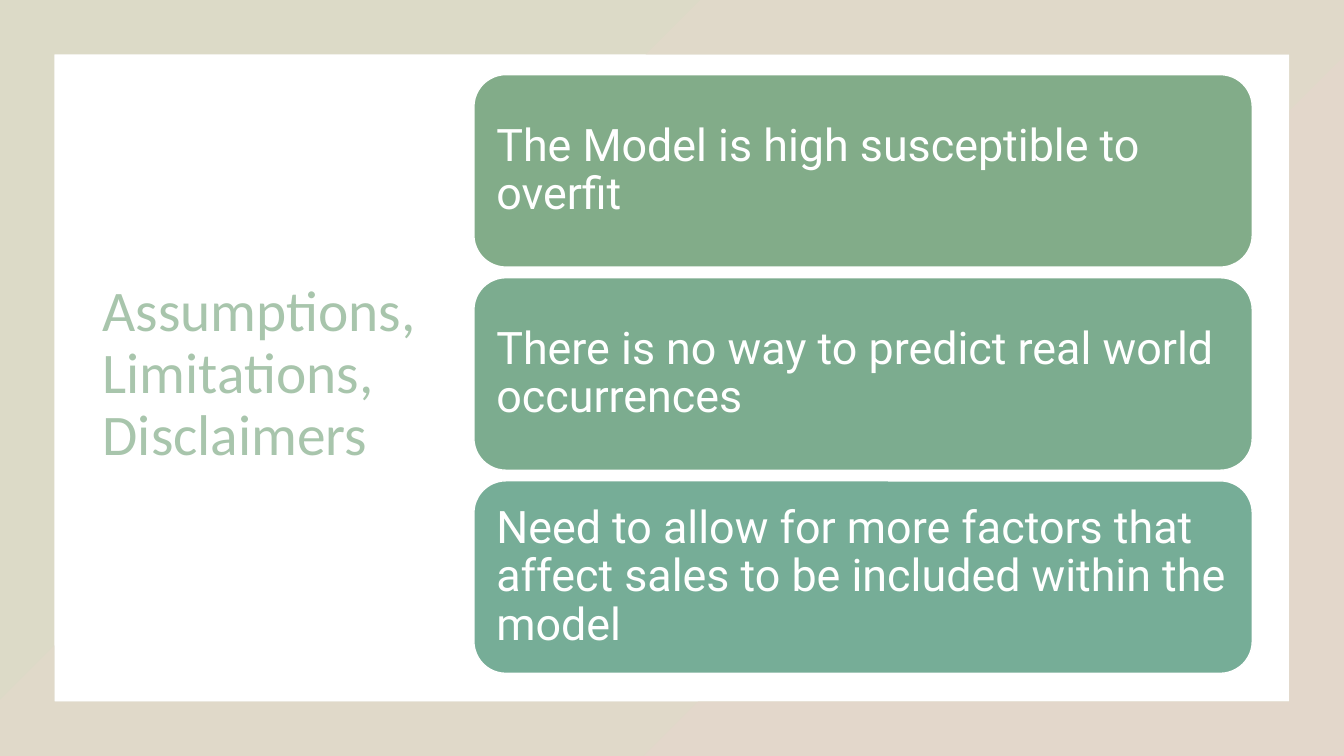
from pptx import Presentation
from pptx.dml.color import RGBColor
from pptx.enum.shapes import MSO_SHAPE
from pptx.enum.text import MSO_ANCHOR, PP_ALIGN
from pptx.util import Inches, Pt

WHITE = RGBColor(0xFF, 0xFF, 0xFF)
SAGE = RGBColor(0xA8, 0xC5, 0xAC)
OLIVE = RGBColor(0xDC, 0xDA, 0xC7)
SAND = RGBColor(0xE3, 0xD7, 0xCB)
CARDS = [
    ("The Model is high susceptible to overfit", RGBColor(0x82, 0xAC, 0x89)),
    ("There is no way to predict real world occurrences", RGBColor(0x7C, 0xAC, 0x8F)),
    ("Need to allow for more factors that affect sales to be included within the model",
     RGBColor(0x76, 0xAD, 0x97)),
]


def write(shape, text, font, size, color):
    frame = shape.text_frame
    frame.word_wrap = True
    frame.vertical_anchor = MSO_ANCHOR.MIDDLE
    para = frame.paragraphs[0]
    para.text = text
    para.alignment = PP_ALIGN.LEFT
    para.line_spacing = 0.9
    para.font.name = font
    para.font.size = Pt(size)
    para.font.color.rgb = color
    return frame


deck = Presentation()
deck.slide_width = Inches(13.33)
deck.slide_height = Inches(7.5)
slide = deck.slides.add_slide(deck.slide_layouts[6])
shapes = slide.shapes

border = shapes.add_shape(MSO_SHAPE.FRAME, 0, 0, deck.slide_width, deck.slide_height)
border.adjustments[0] = 0.072
border.shadow.inherit = False
border.line.fill.background()
border.fill.gradient()
border.fill.gradient_angle = 315
for stop, color in zip(border.fill.gradient_stops, (OLIVE, SAND)):
    stop.color.rgb = color

title = shapes.add_textbox(Inches(0.92), Inches(0.67), Inches(3.5), Inches(6.09))
write(title, "Assumptions, Limitations, Disclaimers", "Calibri", 41, SAGE)

left, top, width, height, pitch = 4.7, 0.74, 7.72, 1.91, 2.015
for row, (text, color) in enumerate(CARDS):
    card = shapes.add_shape(MSO_SHAPE.ROUNDED_RECTANGLE, Inches(left),
                            Inches(top + row * pitch), Inches(width), Inches(height))
    card.shadow.inherit = False
    card.fill.solid()
    card.fill.fore_color.rgb = color
    card.line.color.rgb = WHITE
    card.line.width = Pt(1)
    frame = write(card, text, "Roboto", 32, WHITE)
    frame.margin_left = frame.margin_right = Inches(0.13)

deck.save("out.pptx")
